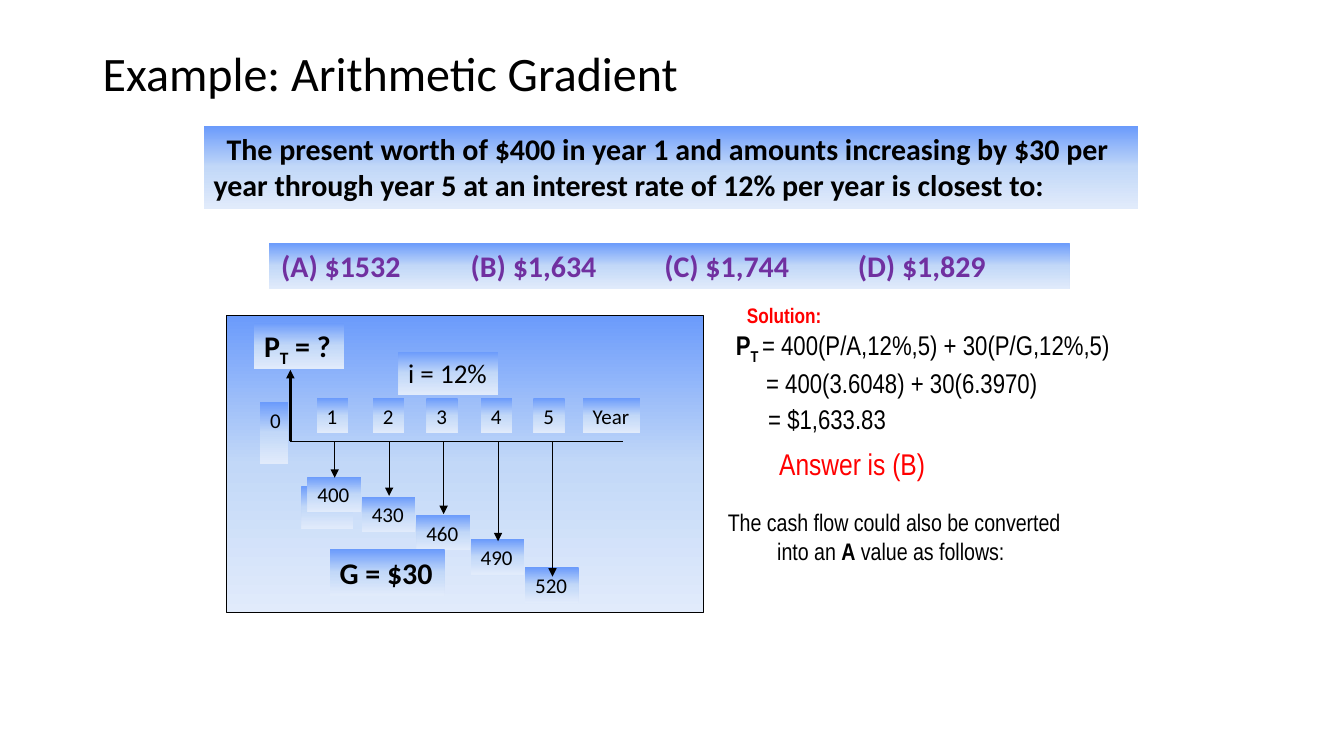
"""Builds the arithmetic gradient example slide with its cash flow diagram."""
from copy import deepcopy
from pptx import Presentation
from pptx.dml.color import RGBColor
from pptx.enum.shapes import MSO_CONNECTOR, MSO_SHAPE
from pptx.enum.text import MSO_ANCHOR, PP_ALIGN
from pptx.oxml.ns import qn
from pptx.oxml.xmlchemy import OxmlElement
from pptx.util import Inches, Pt

BLACK = RGBColor(0x00, 0x00, 0x00)
RED = RGBColor(0xFF, 0x00, 0x00)
PURPLE = RGBColor(0x70, 0x30, 0xA0)
SHADES = [
    (0, RGBColor(0x6B, 0x9B, 0xFB)),
    (0.5, RGBColor(0xC2, 0xD8, 0xF8)),
    (1, RGBColor(0xE1, 0xEB, 0xFB)),
]
SANS = "Calibri"
NARROW = "Arial Narrow"

deck = Presentation()
deck.slide_width, deck.slide_height = Inches(13.33), Inches(7.5)
slide = deck.slides.add_slide(deck.slide_layouts[6])
shapes = slide.shapes


def write(at, rows=(), size=15, shade=True, color=BLACK, wrap=False):
    """Places a box; each row is a list of (text, style), b bold and s subscript."""
    place = [Inches(n) for n in at]
    if shade:
        box = shapes.add_shape(MSO_SHAPE.RECTANGLE, *place)
        box.shadow.inherit = False
        box.line.fill.background()
        box.fill.gradient()
        box.fill.gradient_angle = 270
        stops = box.fill._xPr.find(".//" + qn("a:gsLst"))
        stops.insert(1, deepcopy(stops[0]))
        for stop, (spot, tint) in zip(box.fill.gradient_stops, SHADES):
            stop.position, stop.color.rgb = spot, tint
    else:
        box = shapes.add_textbox(*place)
    frame = box.text_frame
    frame.word_wrap, frame.vertical_anchor = wrap, MSO_ANCHOR.TOP
    for i, row in enumerate(rows):
        para = frame.add_paragraph() if i else frame.paragraphs[0]
        para.alignment = PP_ALIGN.LEFT
        for text, style in row:
            run = para.add_run()
            run.text = text
            look = {"name": SANS if shade else NARROW, "size": Pt(size), "bold": "b" in style}
            for key, value in look.items():
                setattr(run.font, key, value)
            run.font.color.rgb = color
            if "s" in style:
                run.font._element.set("baseline", "-25000")
    return box


def draw(start, end, width=0.75, head=True):
    """Draws a black line, with an arrowhead at its end if asked."""
    line = shapes.add_connector(MSO_CONNECTOR.STRAIGHT, *[Inches(n) for n in start + end])
    line.line.color.rgb, line.line.width = BLACK, Pt(width)
    if head:
        tail = OxmlElement("a:tailEnd")
        tail.set("type", "triangle")
        line.line._get_or_add_ln().append(tail)
    line._element.spPr.append(OxmlElement("a:effectLst"))


title = write((0.92, 0.4, 11.5, 0.7), [[("Example: Arithmetic Gradient", "")]], 34.3, False, wrap=True)
title.text_frame.vertical_anchor = MSO_ANCHOR.MIDDLE
lead = title.text_frame.paragraphs[0]
lead.line_spacing, lead.runs[0].font.name = 0.9, SANS

task = write((2.02, 1.25, 9.27, 0.82), [[(
    "The present worth of $400 in year 1 and amounts increasing by $30 per "
    "year through year 5 at an interest rate of 12% per year is closest to:", "b")]], 21.4, wrap=True)
props = task.text_frame.paragraphs[0]._p.get_or_add_pPr()
props.set("indent", str(Inches(0.13)))

picks = write((2.67, 2.41, 7.94, 0.46), [[("(A) $1532\t(B) $1,634\t(C) $1,744\t(D) $1,829", "b")]],
              21.4, color=PURPLE, wrap=True)
props = picks.text_frame.paragraphs[0]._p.get_or_add_pPr()
props.set("marL", str(Inches(0.02)))
tabs = OxmlElement("a:tabLst")
for i in range(3):
    tab = OxmlElement("a:tab")
    tab.set("pos", str(Inches(1.88 + 1.92 * i)))
    tab.set("algn", "l")
    tabs.append(tab)
props.append(tabs)

panel = write((2.25, 3.13, 4.73, 2.95))
panel.line.color.rgb, panel.line.width = BLACK, Pt(0.75)

BASE = 4.38
draw((2.88, BASE), (6.18, BASE), head=False)
draw((2.88, BASE), (2.88, 3.67), 2)
write((2.58, 3.99, 0.28, 0.61), [[("0", "")]], wrap=True)
write((5.78, 3.95, 0.57, 0.35), [[("Year", "")]])
write((2.99, 4.82, 0.51, 0.43))

flows = [(3.14, 4.73, 4.74), (3.7, 4.93, 4.92), (4.23, 5.11, 5.1), (4.77, 5.35, 5.37), (5.29, 5.63, 5.72)]
for i, (left, top, tip) in enumerate(flows):
    mid = 3.32 + 0.54 * i
    write((left, 3.95, 0.31, 0.35), [[(str(i + 1), "")]])
    write((mid - 0.27, top, 0.53, 0.35), [[(str(400 + 30 * i), "")]])
    draw((mid, BASE), (mid, tip))

write((2.52, 3.2, 0.89, 0.46), [[("P", "b"), ("T", "bs"), (" = ?", "b")]], 21.4)
write((3.95, 3.49, 0.99, 0.43), [[("i = 12%", "")]], 19.3)
write((3.27, 5.45, 1.14, 0.46), [[("G = $30", "b")]], 21.4)

write((7.31, 2.95, 0.95, 0.35), [[("Solution:", "b")]], 15, False, RED)
write((7.2, 3.21, 3.97, 0.43),
      [[("P", "b"), ("T ", "bs"), ("= 400(P/A,12%,5) + 30(P/G,12%,5)", "")]], 19.3, False, wrap=True)
write((7.5, 3.59, 2.9, 0.43), [[("= 400(3.6048) + 30(6.3970)", "")]], 19.3, False)
write((7.52, 3.94, 1.38, 0.43), [[("= $1,633.83", "")]], 19.3, False)
write((7.63, 4.37, 1.67, 0.46), [[("Answer is (B)", "")]], 21.4, False, RED)
note = write((7.12, 4.99, 4.1, 0.68),
             [[("The cash flow could also be converted", "")],
              [("into an ", ""), ("A", "b"), (" value as follows:", "")]], 17.1, False, wrap=True)
note.text_frame.paragraphs[1]._p.get_or_add_pPr().set("marL", str(Inches(0.49)))

deck.save("out.pptx")
